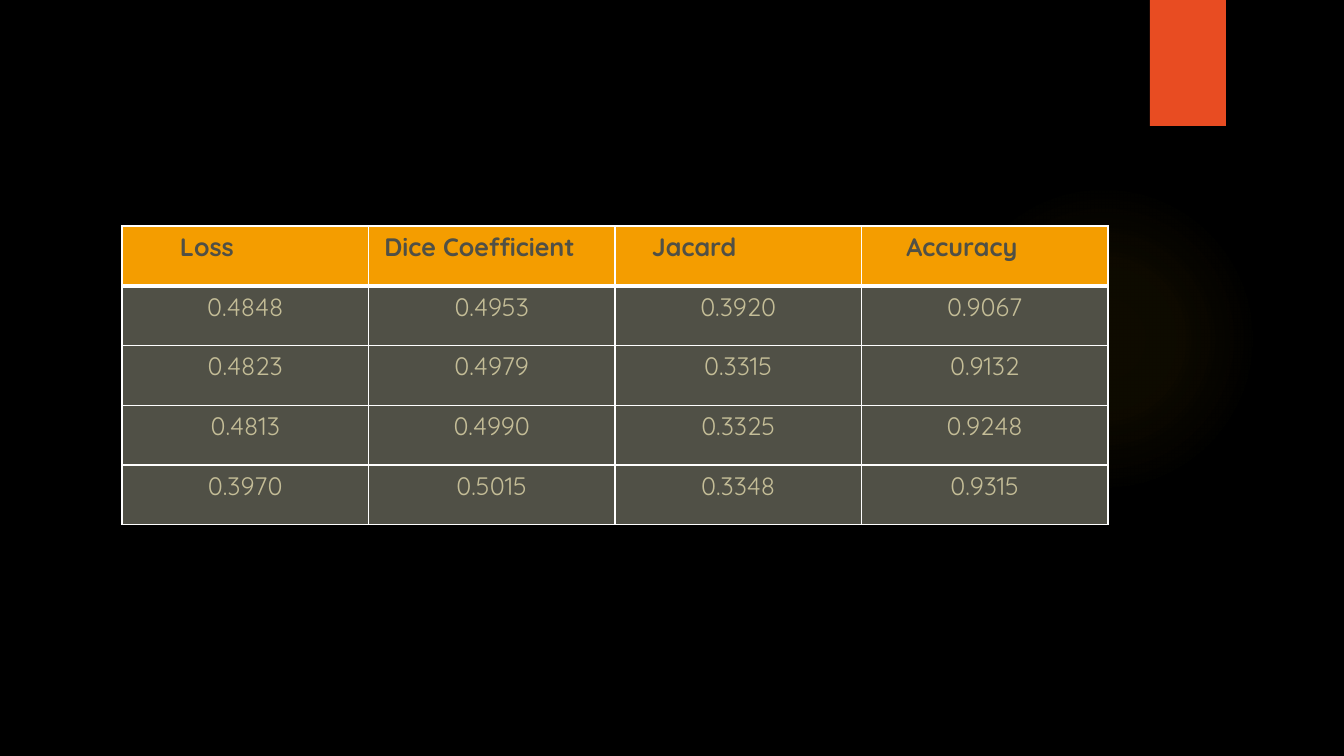
from lxml import etree
from pptx import Presentation
from pptx.dml.color import RGBColor
from pptx.enum.shapes import MSO_SHAPE
from pptx.enum.text import PP_ALIGN
from pptx.oxml import parse_xml
from pptx.oxml.ns import nsdecls, qn
from pptx.util import Emu, Pt

OVAL, RECT = MSO_SHAPE.OVAL, MSO_SHAPE.RECTANGLE
LEFT, CENTER = PP_ALIGN.LEFT, PP_ALIGN.CENTER
SLIDE_W, SLIDE_H = 1344, 756
EMU_PER_PX = 12192000 / SLIDE_W
FONT = "Quicksand"
BLANK_LAYOUT = 6
COLORS = {
    "background": "000000",
    "glow": "CC9900",
    "tab": "E84C22",
    "header": "F49D00",
    "body": "505046",
    "value": "C4BD97",
    "border": "FFFFFF",
}

# Heading and its left indent in px
HEADINGS = [("Loss", 58), ("Dice Coefficient", 16), ("Jacard", 37), ("Accuracy", 45)]
SCORES = [
    ["0.4848", "0.4953", "0.3920", "0.9067"],
    ["0.4823", "0.4979", "0.3315", "0.9132"],
    ["0.4813", "0.4990", "0.3325", "0.9248"],
    ["0.3970", "0.5015", "0.3348", "0.9315"],
]
# Position in percent and opacity in percent
GLOW_STOPS = [(0, 7), (36, 6), (69, 0)]


def px(n):
    return Emu(round(n * EMU_PER_PX))


def rgb(name):
    return RGBColor.from_string(COLORS[name])


def add_block(slide, kind, color, x, y, w, h):
    sp = slide.shapes.add_shape(kind, px(x), px(y), px(w), px(h))
    sp.shadow.inherit = False
    sp.fill.solid()
    sp.fill.fore_color.rgb = rgb(color)
    sp.line.fill.background()
    return sp


def set_glow(sp, color):
    """Swap the solid fill for a transparent radial gradient."""
    stops = "".join(
        f'<a:gs pos="{pos * 1000}"><a:srgbClr val="{COLORS[color]}">'
        f'<a:alpha val="{alpha * 1000}"/></a:srgbClr></a:gs>'
        for pos, alpha in GLOW_STOPS
    )
    grad = parse_xml(
        f'<a:gradFill {nsdecls("a")} rotWithShape="1"><a:gsLst>{stops}</a:gsLst>'
        '<a:path path="circle"><a:fillToRect l="50000" t="50000" r="50000" b="50000"/>'
        "</a:path></a:gradFill>"
    )
    solid = sp.element.spPr.find(qn("a:solidFill"))
    solid.getparent().replace(solid, grad)


def set_borders(cell, top=1, bottom=1):
    """Draw the four cell borders, with widths in points."""
    tc_pr = cell._tc.get_or_add_tcPr()
    widths = [("lnL", 1), ("lnR", 1), ("lnT", top), ("lnB", bottom)]
    for i, (tag, width) in enumerate(widths):
        ln = etree.Element(qn(f"a:{tag}"), w=str(Pt(width)))
        fill = etree.SubElement(ln, qn("a:solidFill"))
        etree.SubElement(fill, qn("a:srgbClr"), val=COLORS["border"])
        tc_pr.insert(i, ln)


def fill_cell(cell, text, fill, color, bold, align):
    cell.fill.solid()
    cell.fill.fore_color.rgb = rgb(fill)
    p = cell.text_frame.paragraphs[0]
    p.text = text
    p.alignment = align
    font = p.runs[0].font
    font.name, font.size, font.bold = FONT, Pt(18), bold
    font.color.rgb = rgb(color)


def add_score_table(slide, x, y, w, h):
    n_rows, n_cols = len(SCORES) + 1, len(HEADINGS)
    frame = slide.shapes.add_table(n_rows, n_cols, px(x), px(y), px(w), px(h))
    table = frame.table
    for column in table.columns:
        column.width = px(w / n_cols)
    for row in table.rows:
        row.height = px(h / n_rows)

    # Header row
    for c, (heading, indent) in enumerate(HEADINGS):
        cell = table.cell(0, c)
        fill_cell(cell, heading, "header", "body", True, LEFT)
        cell.margin_left = px(indent)
        set_borders(cell, bottom=3)

    # Score rows
    for r, scores in enumerate(SCORES, start=1):
        for c, score in enumerate(scores):
            cell = table.cell(r, c)
            fill_cell(cell, score, "body", "value", False, CENTER)
            set_borders(cell, top=3 if r == 1 else 1)


def main():
    prs = Presentation()
    prs.slide_width, prs.slide_height = px(SLIDE_W), px(SLIDE_H)
    slide = prs.slides.add_slide(prs.slide_layouts[BLANK_LAYOUT])
    slide.background.fill.solid()
    slide.background.fill.fore_color.rgb = rgb("background")

    # Backdrop
    glow = add_block(slide, OVAL, "glow", 949, 184, 310, 310)
    set_glow(glow, "glow")
    add_block(slide, RECT, "tab", 1150, 0, 76, 126)

    # Results
    add_score_table(slide, 122, 226, 986, 299)
    prs.save("out.pptx")


if __name__ == "__main__":
    main()
